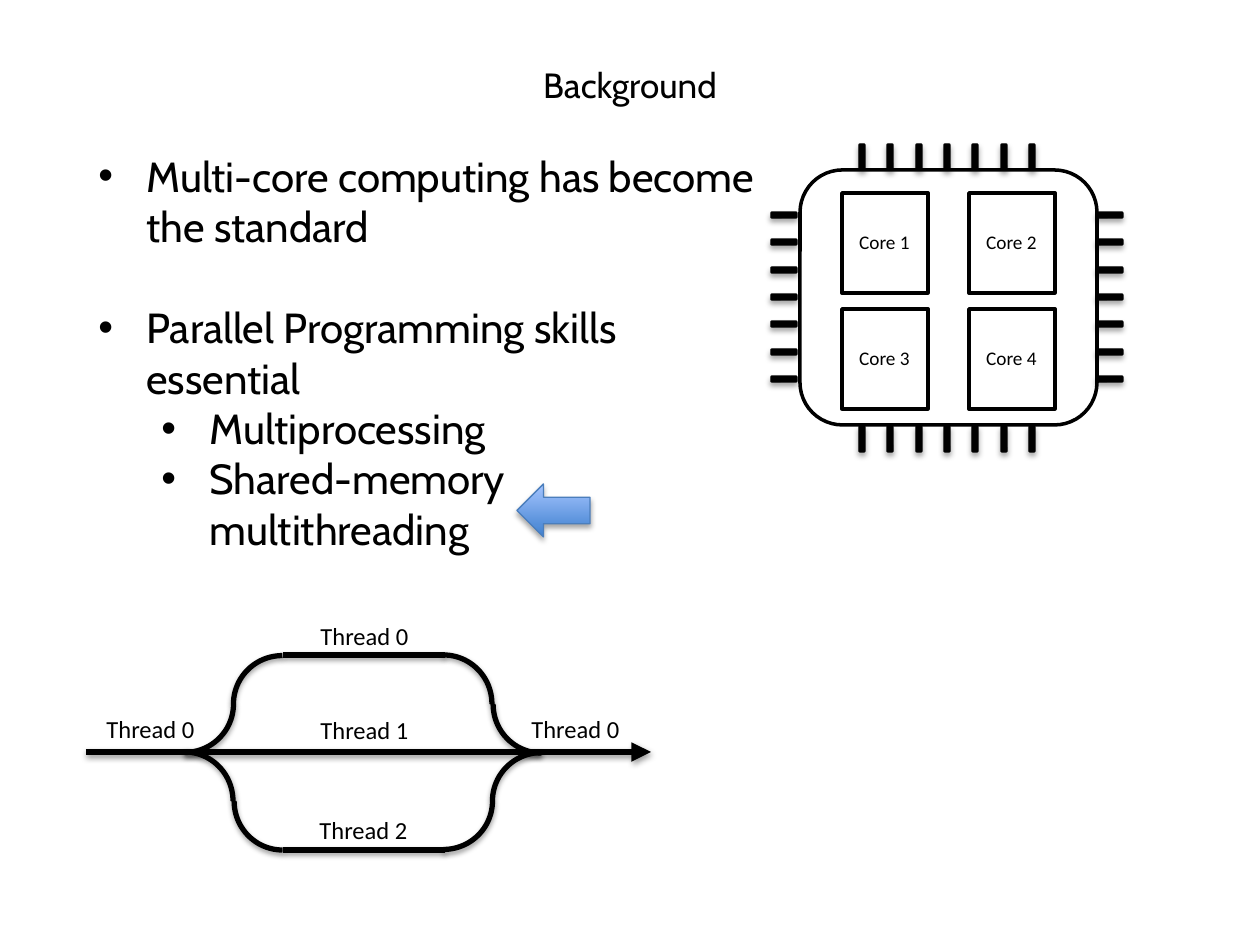
from dataclasses import dataclass
from typing import NamedTuple, Optional

import lxml.etree
import pptx
import pptx.dml.color
import pptx.enum.shapes
import pptx.enum.text
import pptx.oxml.ns
import pptx.util

EMU_PER_PX = 914400 / 126
SHAPES = pptx.enum.shapes.MSO_SHAPE
ALIGN = pptx.enum.text.PP_ALIGN


@dataclass(frozen=True)
class Theme:
    ink: str = "000000"
    paper: str = "FFFFFF"
    arrow_dark: str = "3F80CE"
    arrow_light: str = "A4C4FF"
    arrow_line: str = "4B7EBC"
    heading_font: str = "Cabin"
    label_font: str = "Calibri"
    title_size: int = 20
    body_size: int = 24
    thread_size: int = 14
    core_size: int = 11


class Box(NamedTuple):
    left: int
    top: int
    width: int
    height: int


class Shadow(NamedTuple):
    opacity: int
    distance: float
    blur: float = 3.1


class Label(NamedTuple):
    text: str
    box: Box
    font: str
    size: int
    wrap: bool = True


class Bullet(NamedTuple):
    text: str
    level: int = 0
    space_before: int = 0


class Arc(NamedTuple):
    left: int
    top: int
    rotation: int


THEME = Theme()
SOLID_SHADOW = Shadow(35, 1.8)
LINE_SHADOW = Shadow(38, 1.6)


def px(value: float) -> int:
    return round(value * EMU_PER_PX)


def rgb(color: str) -> pptx.dml.color.RGBColor:
    return pptx.dml.color.RGBColor.from_string(color)


def add_xml(parent, tag: str, **attributes):
    return lxml.etree.SubElement(parent, pptx.oxml.ns.qn(tag), attributes)


def set_line(shape, color: str, width: float) -> None:
    shape.line.color.rgb = rgb(color)
    shape.line.width = pptx.util.Pt(width)


def set_shadow(shape, shadow: Optional[Shadow]) -> None:
    """Set the effects of a shape whose fill and line are already set."""
    effects = add_xml(shape._element.spPr, "a:effectLst")
    if shadow:
        outer = add_xml(effects, "a:outerShdw", blurRad=str(pptx.util.Pt(shadow.blur)),
                        dist=str(pptx.util.Pt(shadow.distance)), dir="5400000", rotWithShape="0")
        color = add_xml(outer, "a:srgbClr", val=THEME.ink)
        add_xml(color, "a:alpha", val=str(shadow.opacity * 1000))


def add_shape(slide, kind, box: Box, fill: Optional[str], width: float,
              shadow: Optional[Shadow] = None, rotation: int = 0) -> None:
    shape = slide.shapes.add_shape(kind, *map(px, box))
    shape.rotation = rotation
    if fill:
        shape.fill.solid()
        shape.fill.fore_color.rgb = rgb(fill)
    else:
        shape.fill.background()
    set_line(shape, THEME.ink, width)
    set_shadow(shape, shadow)


def add_thread_line(slide, start: int, end: int, y: int, width: float, arrow: bool = False) -> None:
    line = slide.shapes.add_connector(pptx.enum.shapes.MSO_CONNECTOR.STRAIGHT,
                                      px(start), px(y), px(end), px(y))
    set_line(line, THEME.ink, width)
    if arrow:
        add_xml(line.line._get_or_add_ln(), "a:tailEnd", type="triangle")
    set_shadow(line, LINE_SHADOW)


def add_text_frame(slide, box: Box, wrap: bool = True):
    frame = slide.shapes.add_textbox(*map(px, box)).text_frame
    frame.word_wrap = wrap
    frame.auto_size = pptx.enum.text.MSO_AUTO_SIZE.SHAPE_TO_FIT_TEXT
    return frame


def set_font(paragraph, name: str, size: int) -> None:
    paragraph.font.name = name
    paragraph.font.size = pptx.util.Pt(size)
    paragraph.font.color.rgb = rgb(THEME.ink)


def add_label(slide, label: Label) -> None:
    paragraph = add_text_frame(slide, label.box, label.wrap).paragraphs[0]
    paragraph.text = label.text
    paragraph.alignment = ALIGN.CENTER
    set_font(paragraph, label.font, label.size)


def add_bullets(slide, box: Box, bullets: list[Bullet]) -> None:
    frame = add_text_frame(slide, box)
    for index, bullet in enumerate(bullets):
        paragraph = frame.add_paragraph() if index else frame.paragraphs[0]
        paragraph.text = bullet.text
        paragraph.level = bullet.level
        properties = paragraph._p.get_or_add_pPr()
        properties.set("marL", str(px(48 + 63 * bullet.level)))
        properties.set("indent", str(px(-48)))
        add_xml(properties, "a:buFont", typeface="Arial")
        add_xml(properties, "a:buChar", char="•")
        if bullet.space_before:
            paragraph.space_before = pptx.util.Pt(bullet.space_before)
        set_font(paragraph, THEME.heading_font, THEME.body_size)


def add_chip(slide) -> None:
    add_shape(slide, SHAPES.ROUNDED_RECTANGLE, Box(800, 170, 297, 255), THEME.paper, 2)
    # Cores in a two by two grid
    for index in range(4):
        row, column = divmod(index, 2)
        left, top = 842 + 127 * column, 193 + 116 * row
        add_shape(slide, SHAPES.RECTANGLE, Box(left, top, 86, 100), THEME.paper, 2)
        add_label(slide, Label(f"Core {index + 1}", Box(left + 4, top + 31, 77, 37),
                               THEME.label_font, THEME.core_size, wrap=False))
    # Seven pins on each side
    for index in range(7):
        x, y = 859 + round(170 * index / 6), 212 + round(164 * index / 6)
        pins = [Box(x, top, 6, 26) for top in (144, 426)]
        pins += [Box(left, y, 26, 6) for left in (771, 1097)]
        for pin in pins:
            add_shape(slide, SHAPES.ROUNDED_RECTANGLE, pin, THEME.ink, 0.75, SOLID_SHADOW)


def add_threads(slide) -> None:
    # Quarter circles of the fork and the join
    arcs = [Arc(136, 752, 0), Arc(136, 655, 90), Arc(234, 655, 270), Arc(234, 752, 180),
            Arc(395, 655, 0), Arc(493, 655, 180), Arc(395, 752, 90), Arc(493, 752, 270)]
    for arc in arcs:
        add_shape(slide, SHAPES.ARC, Box(arc.left, arc.top, 97, 98), None, 3,
                  LINE_SHADOW, arc.rotation)
    for y in (655, 850):
        add_thread_line(slide, 283, 445, y, 3)
    add_thread_line(slide, 86, 651, 752, 3.7, arrow=True)
    for number, left, top in [(0, 87, 708), (2, 300, 809), (1, 301, 709),
                              (0, 301, 615), (0, 512, 708)]:
        add_label(slide, Label(f"Thread {number}", Box(left, top, 127, 43),
                               THEME.label_font, THEME.thread_size))


def add_pointer(slide) -> None:
    arrow = slide.shapes.add_shape(SHAPES.LEFT_ARROW, *map(px, Box(517, 484, 73, 53)))
    arrow.fill.gradient()
    arrow.fill.gradient_angle = 90
    for stop, color, position in zip(arrow.fill.gradient_stops,
                                     (THEME.arrow_dark, THEME.arrow_light), (0, 1)):
        stop.color.rgb = rgb(color)
        stop.position = position
    set_line(arrow, THEME.arrow_line, 0.75)
    set_shadow(arrow, SOLID_SHADOW)


def main() -> None:
    presentation = pptx.Presentation()
    presentation.slide_width, presentation.slide_height = px(1260), px(945)
    slide = presentation.slides.add_slide(presentation.slide_layouts[6])

    add_label(slide, Label("Background", Box(0, 57, 1260, 55), THEME.heading_font, THEME.title_size))
    add_bullets(slide, Box(86, 144, 685, 471), [
        Bullet("Multi-core computing has become the standard"),
        Bullet("Parallel Programming skills essential", space_before=29),
        Bullet("Multiprocessing", level=1),
        Bullet("Shared-memory multithreading", level=1),
    ])
    add_chip(slide)
    add_threads(slide)
    add_pointer(slide)
    presentation.save("out.pptx")


if __name__ == "__main__":
    main()
